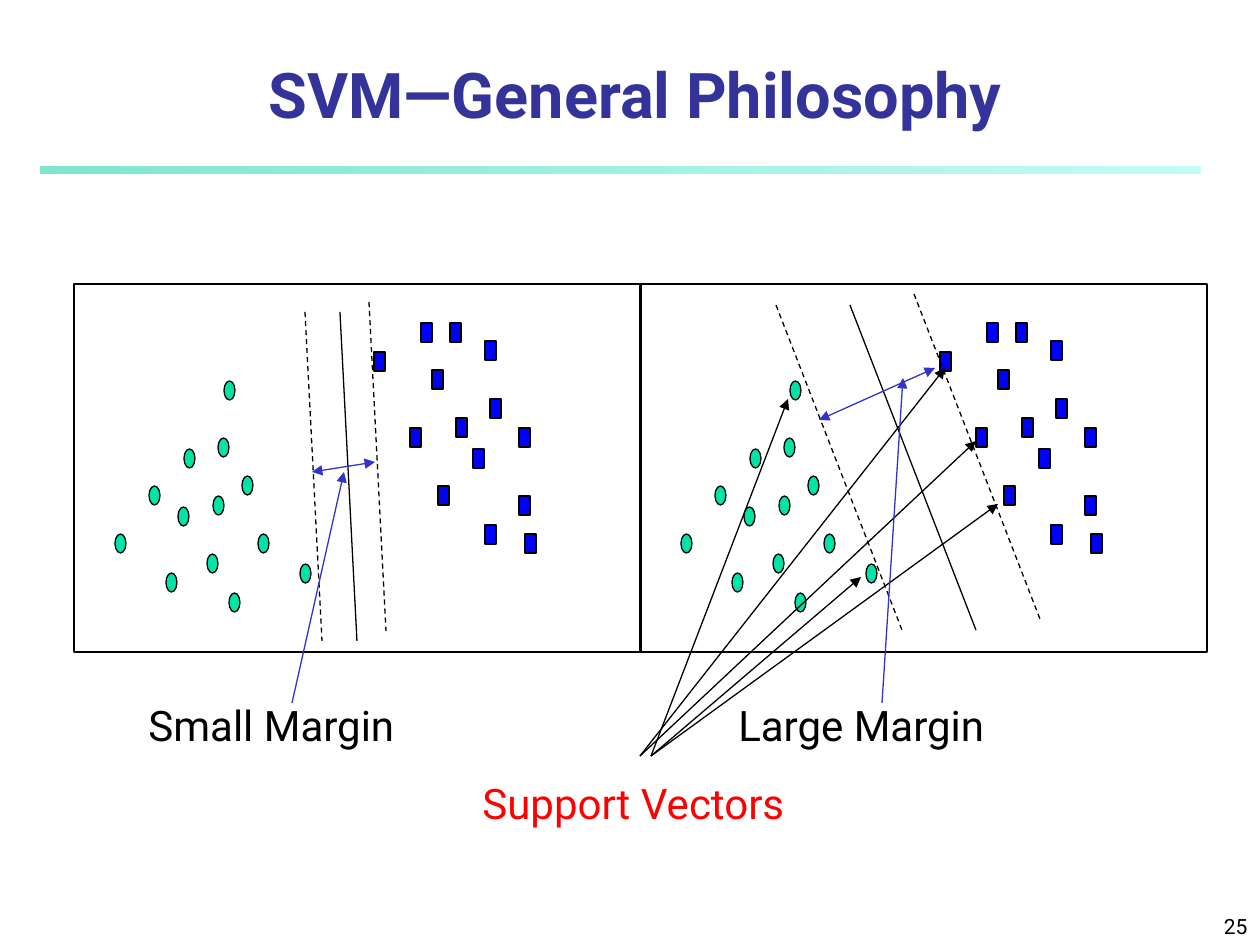
from lxml.etree import SubElement
from pptx import Presentation
from pptx.dml.color import RGBColor
from pptx.enum.dml import MSO_LINE
from pptx.enum.shapes import MSO_CONNECTOR, MSO_SHAPE
from pptx.enum.text import MSO_ANCHOR, MSO_AUTO_SIZE, PP_ALIGN
from pptx.oxml.ns import qn
from pptx.util import Emu, Pt

EMU_PER_PX = 914400 / 126
FONT = "Roboto"
BLACK = RGBColor(0x00, 0x00, 0x00)
RED = RGBColor(0xFF, 0x00, 0x00)
NAVY = RGBColor(0x33, 0x33, 0x99)
ARROW_BLUE = RGBColor(0x33, 0x33, 0xCC)
GREEN = RGBColor(0x00, 0xE4, 0xA8)
BLUE = RGBColor(0x00, 0x00, 0xFF)
BAR_COLORS = ((RGBColor(0x00, 0xCE, 0x98), 50), (RGBColor(0x8F, 0xF9, 0xEF), 52))

PANEL_W, PANEL_H, PANEL_TOP = 567, 368, 284
PANEL_LEFTS = (74, 640)
DOT_SIZE = (11, 19)

# Dot corners, measured from the corner of their panel
CIRCLES = (
    (92, 289), (104, 223), (41, 250), (75, 202), (133, 270), (110, 165), (139, 212),
    (144, 154), (168, 192), (184, 250), (155, 309), (226, 280), (150, 97),
)
SQUARES = (
    (336, 144), (300, 68), (347, 39), (364, 202), (358, 86), (382, 134), (376, 39),
    (411, 57), (399, 165), (416, 115), (411, 241), (445, 144), (445, 212), (451, 250),
)

# For each panel: start points of the two margins and of the separator, then the slope
BOUNDARIES = (
    (((369, 302), (305, 312)), (340, 312), (17, 329)),
    (((776, 305), (914, 294)), (850, 305), (126, 325)),
)
SUPPORT_ARROWS = (
    ((640, 756), (945, 368)), ((640, 756), (976, 441)), ((651, 756), (998, 504)),
    ((651, 756), (861, 577)), ((651, 756), (788, 399)),
)
# Label, box, width arrow, pointer from the label
MARGINS = (
    ("Small Margin", (136, 693, 285, 63), ((312, 472), (375, 462)), ((292, 703), (344, 472))),
    ("Large Margin", (726, 693, 290, 63), ((819, 420), (935, 368)), ((882, 703), (903, 378))),
)


def px(*values):
    return [Emu(round(v * EMU_PER_PX)) for v in values]


def set_attrs(obj, **values):
    for name, value in values.items():
        setattr(obj, name, value)


def write(tf, text, size, color, align=PP_ALIGN.LEFT, bold=False):
    p = tf.paragraphs[0]
    p.alignment = align
    r = p.add_run()
    r.text = text
    set_attrs(r.font, name=FONT, size=Pt(size), bold=bold)
    r.font.color.rgb = color


def add_label(shapes, text, box, color):
    tf = shapes.add_textbox(*px(*box)).text_frame
    set_attrs(tf, word_wrap=False, auto_size=MSO_AUTO_SIZE.SHAPE_TO_FIT_TEXT)
    write(tf, text, 24, color)


def add_outlined(shapes, kind, box, fill=None):
    sp = shapes.add_shape(kind, *px(*box))
    sp.shadow.inherit = False
    if fill is None:
        sp.fill.background()
    else:
        sp.fill.solid()
        sp.fill.fore_color.rgb = fill
    sp.line.color.rgb = BLACK
    sp.line.width = Pt(0.75)


def add_line(shapes, start, end, color=BLACK, dashed=False, heads=()):
    """Draw a line; heads lists the ends with a triangle, headEnd before tailEnd."""
    cxn = shapes.add_connector(MSO_CONNECTOR.STRAIGHT, *px(*start, *end))
    cxn.line.color.rgb = color
    cxn.line.width = Pt(0.75)
    if dashed:
        cxn.line.dash_style = MSO_LINE.DASH
    ln = cxn.line._get_or_add_ln()
    for head in heads:
        SubElement(ln, qn(f"a:{head}"), type="triangle")
    SubElement(cxn._element.spPr, qn("a:effectLst"))


def add_title_bar(shapes):
    sp = shapes.add_shape(MSO_SHAPE.RECTANGLE, *px(41, 167, 1160, 7))
    sp.shadow.inherit = False
    sp.line.fill.background()
    sp.fill.gradient()
    sp.fill.gradient_angle = 0
    for stop, (color, opacity) in zip(sp.fill.gradient_stops, BAR_COLORS):
        stop.color.rgb = color
    for clr, (_, opacity) in zip(sp._element.spPr.iter(qn("a:srgbClr")), BAR_COLORS):
        SubElement(clr, qn("a:alpha"), val=str(opacity * 1000))


def add_title(s):
    title = s.shapes.title
    left, top, width, height = px(42, 53, 1187, 84)
    set_attrs(title, left=left, top=top, width=width, height=height)
    tf = title.text_frame
    set_attrs(tf, vertical_anchor=MSO_ANCHOR.BOTTOM, auto_size=MSO_AUTO_SIZE.NONE)
    write(tf, "SVM—General Philosophy", 36, NAVY, PP_ALIGN.CENTER, bold=True)


def add_page_number(shapes):
    tf = shapes.add_textbox(*px(998, 892, 262, 53)).text_frame
    set_attrs(tf, word_wrap=True, vertical_anchor=MSO_ANCHOR.BOTTOM)
    write(tf, "25", 12, BLACK, PP_ALIGN.RIGHT)


def add_panel(shapes, left, margins, separator, slope):
    for kind, dots, fill in ((MSO_SHAPE.OVAL, CIRCLES, GREEN),
                             (MSO_SHAPE.RECTANGLE, SQUARES, BLUE)):
        for x, y in dots:
            add_outlined(shapes, kind, (left + x, PANEL_TOP + y, *DOT_SIZE), fill)
    add_outlined(shapes, MSO_SHAPE.RECTANGLE, (left, PANEL_TOP, PANEL_W, PANEL_H))
    for start in (*margins, separator):
        end = (start[0] + slope[0], start[1] + slope[1])
        add_line(shapes, start, end, dashed=start in margins)


def add_support_vectors(shapes):
    add_label(shapes, "Support Vectors", (470, 771, 341, 63), RED)
    for start, end in SUPPORT_ARROWS:
        add_line(shapes, start, end, heads=("tailEnd",))


def add_margin(shapes, text, box, width_arrow, pointer):
    add_label(shapes, text, box, BLACK)
    add_line(shapes, *width_arrow, color=ARROW_BLUE, heads=("headEnd", "tailEnd"))
    add_line(shapes, *pointer, color=ARROW_BLUE, heads=("tailEnd",))


def main():
    prs = Presentation()
    prs.slide_width, prs.slide_height = px(1260, 945)
    s = prs.slides.add_slide(prs.slide_layouts[5])
    add_title_bar(s.shapes)
    add_page_number(s.shapes)
    add_title(s)
    for left, boundary in zip(PANEL_LEFTS, BOUNDARIES):
        add_panel(s.shapes.add_group_shape().shapes, left, *boundary)
    add_support_vectors(s.shapes.add_group_shape().shapes)
    for margin in MARGINS:
        add_margin(s.shapes.add_group_shape().shapes, *margin)
    prs.save("out.pptx")


if __name__ == "__main__":
    main()
